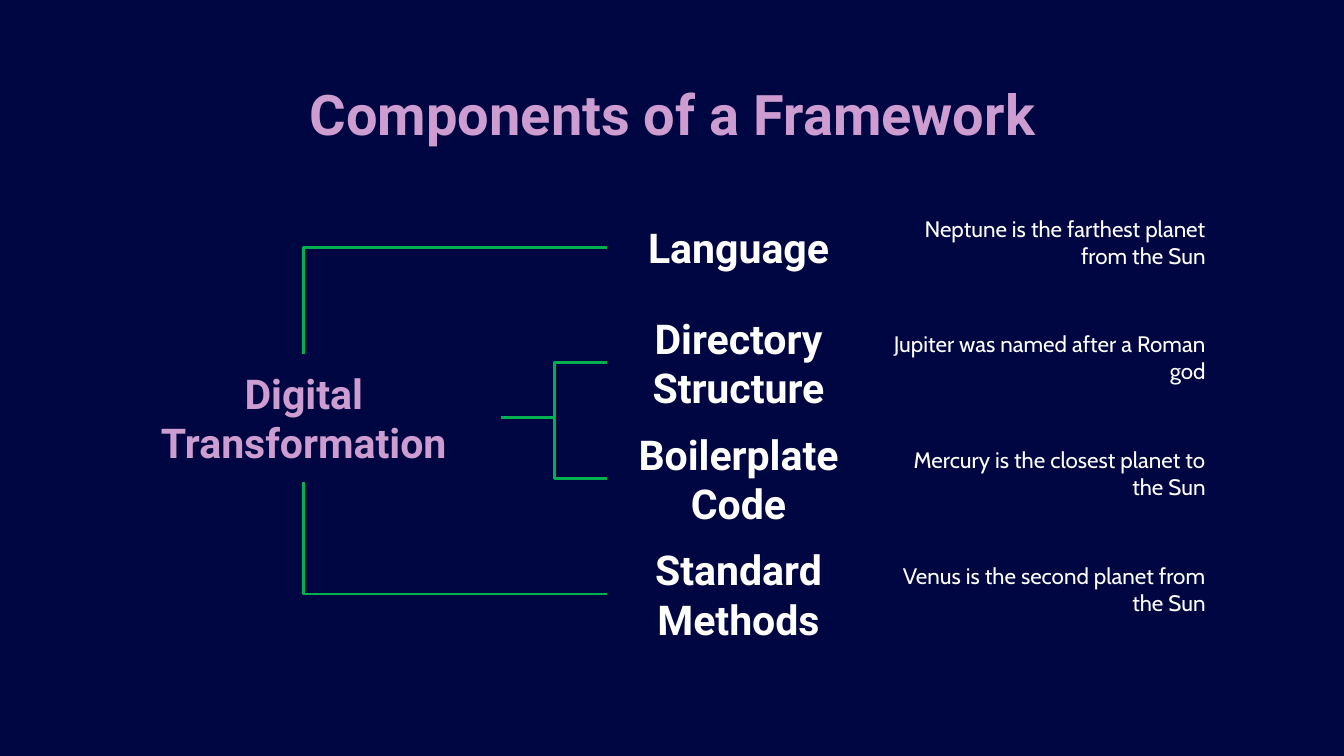
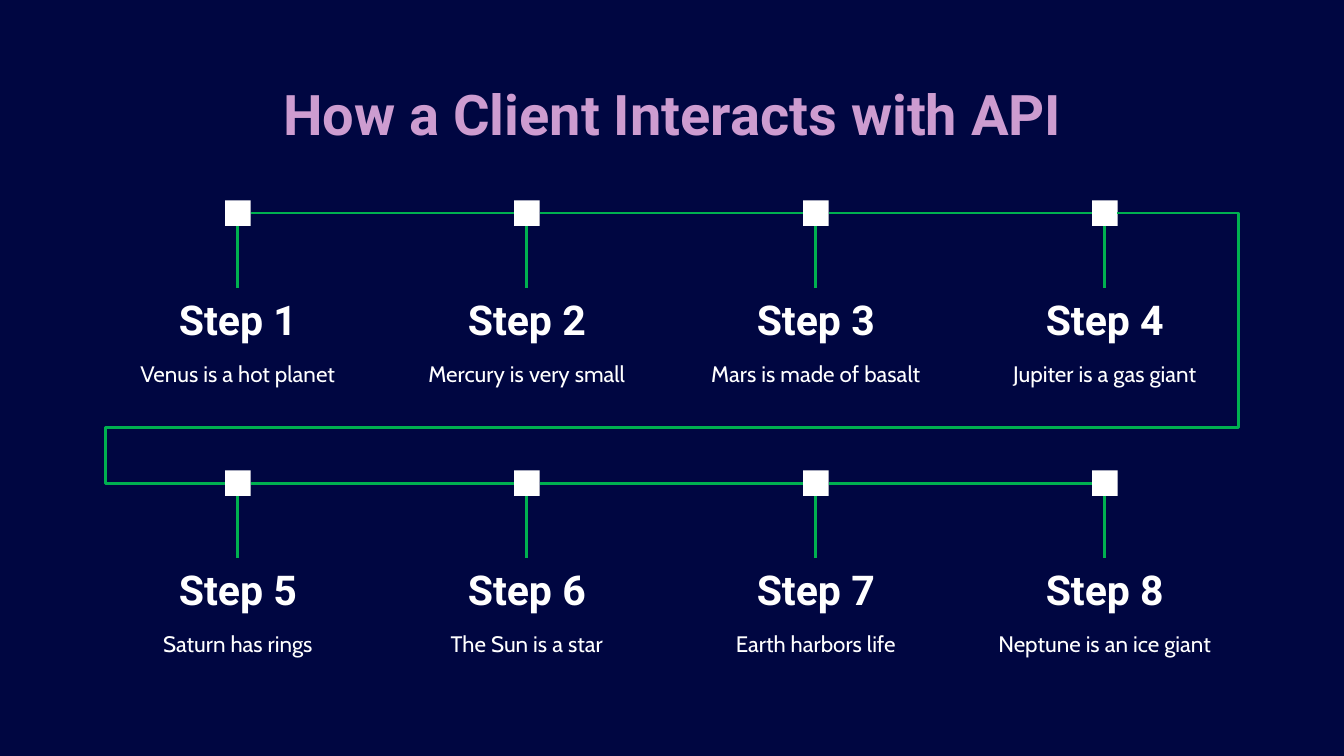
import pptx
import pptx.util
import pptx.dml.color
import pptx.enum.shapes
import pptx.enum.text
import pptx.oxml
import pptx.oxml.ns

Inches = pptx.util.Inches
ALIGN = pptx.enum.text.PP_ALIGN
ANCHOR = pptx.enum.text.MSO_ANCHOR
LINK = pptx.enum.shapes.MSO_CONNECTOR

COLORS = {name: pptx.dml.color.RGBColor.from_string(value) for name, value in {
    "navy": "000641", "white": "FFFFFF", "green": "00B050",
    "mauve": "CD9CD0", "sky": "9CCAED"}.items()}
HEADING = {"size": 22, "font": "Roboto", "bold": True}
TOP, LEFT, BOTTOM, RIGHT = range(4)


def write(page, text, at, box=None, size=12, font="Cabin", bold=False,
          gradient=False, align=ALIGN.CENTER, anchor=ANCHOR.TOP):
    at = [Inches(length) for length in at]
    if box is None:
        box = page.shapes.add_textbox(*at)
    box.left, box.top, box.width, box.height = at
    frame = box.text_frame
    frame.word_wrap = True
    frame.auto_size = pptx.enum.text.MSO_AUTO_SIZE.NONE
    frame.vertical_anchor = anchor
    frame.margin_left = frame.margin_right = Inches(0.1)
    frame.margin_top = frame.margin_bottom = Inches(0.1)
    para = frame.paragraphs[0]
    para.alignment = align
    span = para.add_run()
    span.text = text
    span.font.size = pptx.util.Pt(size)
    span.font.name = font
    span.font.bold = bold
    if gradient:
        span.font.fill.gradient()
        span.font.fill.gradient_angle = 0
        for stop, name in zip(span.font.fill.gradient_stops, ("mauve", "sky")):
            stop.color.rgb = COLORS[name]
    else:
        span.font.color.rgb = COLORS["white"]
    return box


def join(page, start, start_side, end, end_side, kind=LINK.STRAIGHT, preset=None, bends=()):
    line = page.shapes.add_connector(kind, 0, 0, 0, 0)
    line.begin_connect(start, start_side)
    line.end_connect(end, end_side)
    line.line.color.rgb = COLORS["green"]
    line.line.width = pptx.util.Pt(1.5)
    properties = line.element.spPr
    properties.append(pptx.oxml.parse_xml(
        f'<a:effectLst {pptx.oxml.ns.nsdecls("a")}/>'))
    geometry = properties.find(pptx.oxml.ns.qn("a:prstGeom"))
    if preset:
        geometry.set("prst", preset)
    for number, bend in enumerate(bends, 1):
        geometry.find(pptx.oxml.ns.qn("a:avLst")).append(pptx.oxml.parse_xml(
            f'<a:gd {pptx.oxml.ns.nsdecls("a")} name="adj{number}" fmla="val {bend}"/>'))


deck = pptx.Presentation()
deck.slide_width = Inches(10)
deck.slide_height = Inches(10 * 9 / 16)
background = deck.slide_master.background.fill
background.solid()
background.fore_color.rgb = COLORS["navy"]

pages = []
for title in ("Components of a Framework", "How a Client Interacts with API"):
    page = deck.slides.add_slide(deck.slide_layouts[5])
    write(page, title, (0.79, 0.49, 8.43, 0.63), box=page.shapes.title,
          size=30, font="Roboto", bold=True, gradient=True)
    pages.append(page)
components_page, steps_page = pages

components = [
    ("Language", "Neptune is the farthest planet from the Sun"),
    ("Directory Structure", "Jupiter was named after a Roman god"),
    ("Boilerplate Code", "Mercury is the closest planet to the Sun"),
    ("Standard Methods", "Venus is the second planet from the Sun"),
]
labels = []
for row, (name, detail) in enumerate(components):
    top = 1.5 + 0.86 * row
    write(components_page, detail, (6.47, top, 2.6, 0.68), align=ALIGN.RIGHT)
    labels.append(write(components_page, name, (4.52, top, 1.95, 0.68),
                        anchor=ANCHOR.MIDDLE, **HEADING))
topic = write(components_page, "Digital Transformation", (0.79, 2.63, 2.94, 0.96),
              anchor=ANCHOR.MIDDLE, gradient=True, **HEADING)
for label, side in ((labels[0], TOP), (labels[3], BOTTOM)):
    join(components_page, label, LEFT, topic, side, LINK.ELBOW, "bentConnector2")
for label in labels[1:3]:
    join(components_page, topic, RIGHT, label, LEFT, LINK.ELBOW)

step_rows = [
    ("Venus is a hot planet", "Mercury is very small",
     "Mars is made of basalt", "Jupiter is a gas giant"),
    ("Saturn has rings", "The Sun is a star",
     "Earth harbors life", "Neptune is an ice giant"),
]
width, side = 1.98, 0.19
markers = []
for row, details in enumerate(step_rows):
    top = 1.49 + 2.01 * row
    for column, detail in enumerate(details):
        left = 0.78 + 2.15 * column
        marker = steps_page.shapes.add_shape(
            pptx.enum.shapes.MSO_SHAPE.RECTANGLE, Inches(left + (width - side) / 2),
            Inches(top), Inches(side), Inches(side))
        marker.shadow.inherit = False
        marker.fill.solid()
        marker.fill.fore_color.rgb = COLORS["white"]
        marker.line.fill.background()
        step = write(steps_page, f"Step {len(markers) + 1}", (left, top + 0.65, width, 0.52),
                     anchor=ANCHOR.BOTTOM, **HEADING)
        write(steps_page, detail, (left, top + 1.09, width, 0.35))
        join(steps_page, marker, BOTTOM, step, TOP)
        if column:
            join(steps_page, markers[-1], RIGHT, marker, LEFT)
        markers.append(marker)
join(steps_page, markers[3], RIGHT, markers[4], LEFT, LINK.ELBOW,
     "bentConnector5", (-13600, 79400, 113400))

deck.save("out.pptx")
